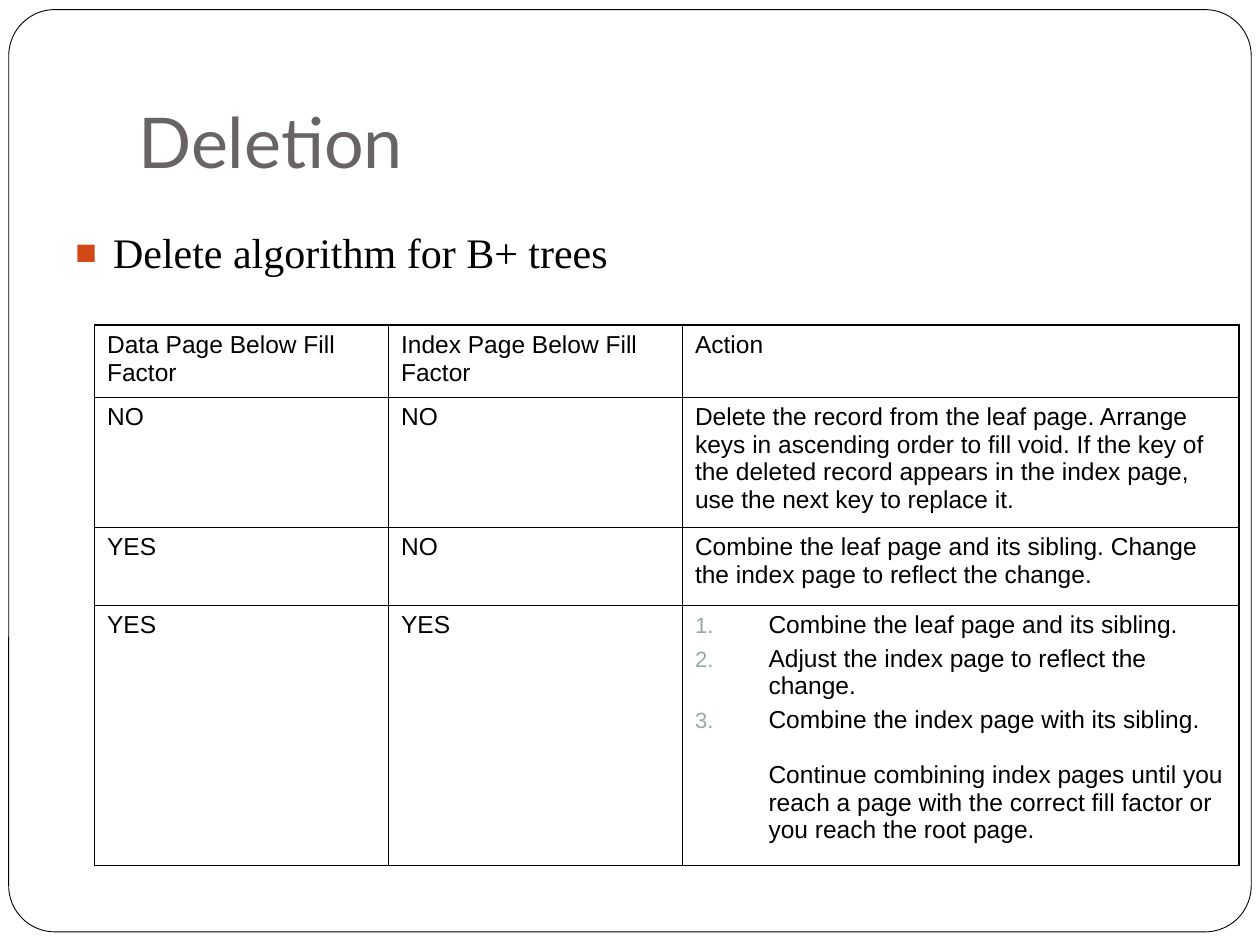
from lxml.etree import SubElement
from pptx import Presentation
from pptx.dml.color import RGBColor
from pptx.enum.shapes import MSO_SHAPE as Shape
from pptx.enum.text import MSO_ANCHOR as Anchor
from pptx.oxml.ns import qn
from pptx.util import Pt

# Content
TITLE = "Deletion"
BULLET = "Delete algorithm for B+ trees"
STEPS = [
    "Combine the leaf page and its sibling.",
    "Adjust the index page to reflect the change.",
    "Combine the index page with its sibling.\n\nContinue combining index pages until you "
    "reach a page with the correct fill factor or you reach the root page.",
]
ROWS = [  # a list in a cell is a numbered list
    ("Data Page Below Fill Factor", "Index Page Below Fill Factor", "Action"),
    ("NO", "NO",
     "Delete the record from the leaf page. Arrange keys in ascending order to fill void. "
     "If the key of the deleted record appears in the index page, use the next key to "
     "replace it."),
    ("YES", "NO",
     "Combine the leaf page and its sibling. Change the index page to reflect the change."),
    ("YES", "YES", STEPS),
]

# Layout, in points
COLUMN_WIDTHS = (168, 168, 318)
ROW_HEIGHTS = (41, 74.2, 44.6, 148.5)
TABLE_LEFT, TABLE_TOP = 54, 185.8

THEME = {
    "black": "000000", "white": "FFFFFF", "title": "696464",
    "bullet": "D34817", "number": "96A9A9",
    "title_font": ("Lato", 40), "body_font": ("Times New Roman", 24),
    "table_font": ("Arial", 14),
    "outer_line": 1.08, "inner_line": 0.45, "frame_line": 0.5,
}


def color(name):
    return RGBColor.from_string(THEME[name])


def style(paragraph, font_key, color_name="black"):
    name, size = THEME[font_key]
    paragraph.font.name = name
    paragraph.font.size = Pt(size)
    paragraph.font.color.rgb = color(color_name)


def add_bullet(paragraph, indent, color_name, percent, tag, **attributes):
    properties = paragraph._p.get_or_add_pPr()
    properties.set("marL", str(Pt(indent)))
    properties.set("indent", str(-Pt(indent)))
    bullet_color = SubElement(properties, qn("a:buClr"))
    SubElement(bullet_color, qn("a:srgbClr"), val=THEME[color_name])
    SubElement(properties, qn("a:buSzPct"), val=str(percent * 1000))
    SubElement(properties, qn("a:buFont"), typeface="Arial")
    SubElement(properties, qn(tag), **attributes)


def add_text(slide, box, text, anchor, bottom_inset):
    frame = slide.shapes.add_textbox(*map(Pt, box)).text_frame
    frame.word_wrap = True
    frame.vertical_anchor = anchor
    frame.margin_bottom = Pt(bottom_inset)
    paragraph = frame.paragraphs[0]
    paragraph.text = text
    return paragraph


def add_borders(cell, row, column):
    outer_sides = {
        "L": column == 0, "R": column == len(COLUMN_WIDTHS) - 1,
        "T": row == 0, "B": row == len(ROWS) - 1,
    }
    properties = cell._tc.get_or_add_tcPr()
    for side, is_outer in outer_sides.items():
        width = THEME["outer_line" if is_outer else "inner_line"]
        line = SubElement(properties, qn(f"a:ln{side}"), w=str(Pt(width)))
        fill = SubElement(line, qn("a:solidFill"))
        SubElement(fill, qn("a:srgbClr"), val=THEME["black"])


def fill_cell(cell, content):
    numbered = isinstance(content, list)
    frame = cell.text_frame
    for index, text in enumerate(content if numbered else [content]):
        paragraph = frame.add_paragraph() if index else frame.paragraphs[0]
        paragraph.text = text
        if index:
            paragraph.space_before = Pt(3.5)
        if numbered:
            add_bullet(paragraph, 42, "number", 90, "a:buAutoNum", type="arabicPeriod")
        style(paragraph, "table_font")


def main():
    presentation = Presentation()
    presentation.slide_width, presentation.slide_height = Pt(720), Pt(540)
    slide = presentation.slides.add_slide(presentation.slide_layouts[6])

    # Rounded page frame
    frame = slide.shapes.add_shape(
        Shape.ROUNDED_RECTANGLE, Pt(5), Pt(5.5), Pt(710), Pt(527))
    frame.adjustments[0] = 0.05
    frame.shadow.inherit = False
    frame.fill.solid()
    frame.fill.fore_color.rgb = color("white")
    frame.line.color.rgb = color("black")
    frame.line.width = Pt(THEME["frame_line"])

    # Title and bullet line
    title = add_text(slide, (72, 21.6, 612, 90), TITLE, Anchor.BOTTOM, 7.2)
    style(title, "title_font", "title")
    bullet = add_text(slide, (36, 126, 684, 50), BULLET, Anchor.TOP, 3.6)
    add_bullet(bullet, 21.6, "bullet", 85, "a:buChar", char="■")
    style(bullet, "body_font")

    # Action table
    table = slide.shapes.add_table(
        len(ROWS), len(COLUMN_WIDTHS), Pt(TABLE_LEFT), Pt(TABLE_TOP),
        Pt(sum(COLUMN_WIDTHS)), Pt(sum(ROW_HEIGHTS))).table
    table.first_row = table.horz_banding = False
    for column, width in zip(table.columns, COLUMN_WIDTHS):
        column.width = Pt(width)
    for row_index, (height, contents) in enumerate(zip(ROW_HEIGHTS, ROWS)):
        table.rows[row_index].height = Pt(height)
        for column_index, content in enumerate(contents):
            cell = table.cell(row_index, column_index)
            add_borders(cell, row_index, column_index)
            cell.fill.background()
            fill_cell(cell, content)

    presentation.save("out.pptx")


if __name__ == "__main__":
    main()
